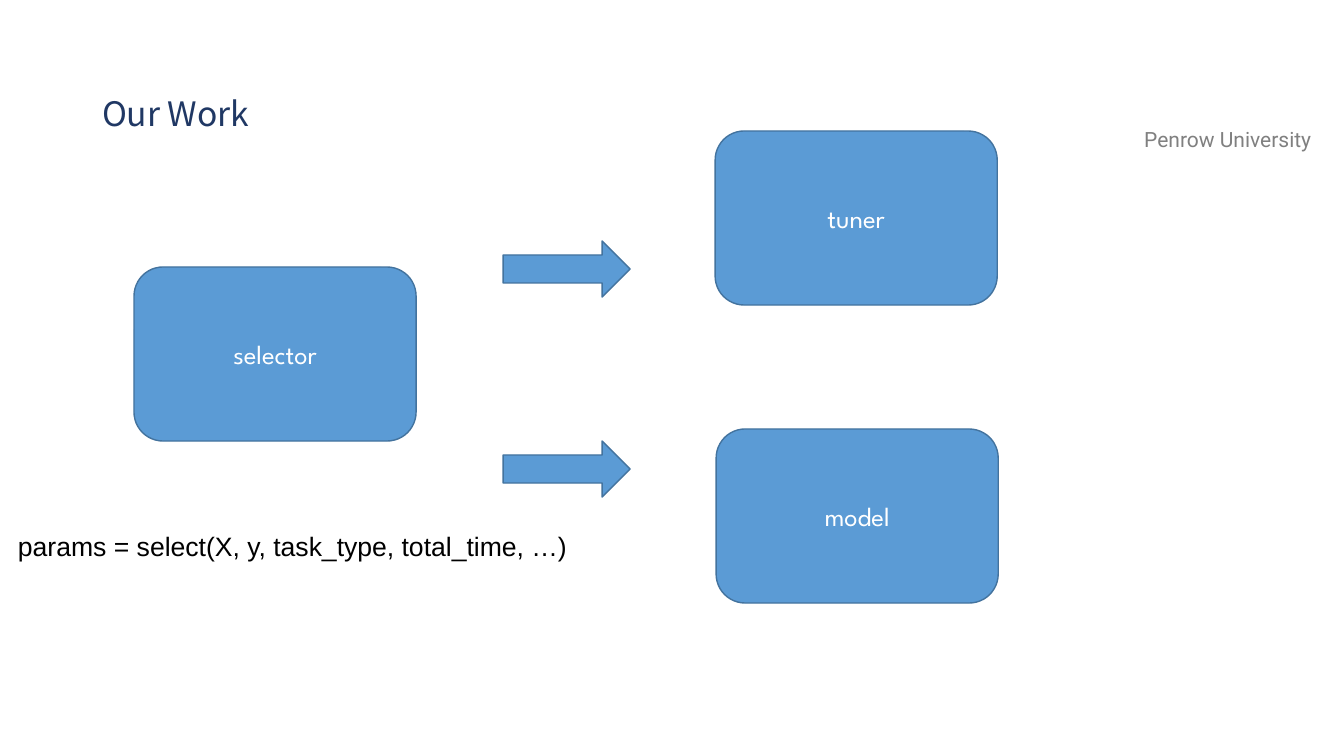
from pptx import Presentation
from pptx import util as u
from pptx.dml.color import RGBColor
from pptx.enum import shapes, text

BLUE, EDGE, NAVY = "5B9BD5", "43739E", "203864"
GREY, WHITE, BLACK = "808080", "FFFFFF", "000000"
SCALE = u.Inches(1) / 100.8
TITLE_ONLY = 5


def px(*lengths):
    return [u.Emu(round(length * SCALE)) for length in lengths]


def color(value):
    return RGBColor.from_string(value)


def apply(target, **values):
    for name, value in values.items():
        setattr(target, name, value)


def write(shape, words, font, size, ink, align="LEFT", anchor="TOP", wrap=True):
    left, top = px(10, 5)
    frame = shape.text_frame
    apply(frame, word_wrap=wrap, auto_size=text.MSO_AUTO_SIZE.NONE,
          vertical_anchor=text.MSO_ANCHOR[anchor],
          margin_left=left, margin_right=left,
          margin_top=top, margin_bottom=top)
    para = frame.paragraphs[0]
    para.alignment = text.PP_ALIGN[align]
    span = para.add_run()
    span.text = words
    apply(span.font, name=font, size=u.Pt(size), bold=False)
    span.font.color.rgb = color(ink)


def add_title(page, words, area):
    title = page.shapes.title
    apply(title, **dict(zip(("left", "top", "width", "height"), px(*area))))
    write(title, words, "Noto Sans CJK SC", 24, NAVY, wrap=False)


def add_label(page, words, area, **style):
    write(page.shapes.add_textbox(*px(*area)), words, **style)


def add_block(page, kind, area):
    shape = page.shapes.add_shape(shapes.MSO_SHAPE[kind], *px(*area))
    shape.shadow.inherit = False
    shape.fill.solid()
    shape.fill.fore_color.rgb = color(BLUE)
    shape.line.color.rgb = color(EDGE)
    shape.line.width = u.Pt(1)
    return shape


def add_component(page, words, left, top):
    box = add_block(page, "ROUNDED_RECTANGLE", (left, top, 282, 174))
    write(box, words, "League Spartan", 19, WHITE, "CENTER", "MIDDLE")


def main():
    deck = Presentation()
    deck.slide_width, deck.slide_height = u.Inches(13.33), u.Inches(7.5)
    page = deck.slides.add_slide(deck.slide_layouts[TITLE_ONLY])

    add_title(page, "Our Work", (92, 88, 178, 50))
    add_label(page, "Penrow University", (1133, 122, 188, 36),
              font="Roboto", size=15, ink=GREY, align="RIGHT")
    for words, left, top in (("selector", 134, 267),
                             ("tuner", 715, 131),
                             ("model", 716, 429)):
        add_component(page, words, left, top)
    for top in (241, 441):
        add_block(page, "RIGHT_ARROW", (503, top, 127, 56))
    add_label(page, "params = select(X, y, task_type, total_time, …)",
              (8, 525, 691, 42), font="Arial", size=19, ink=BLACK)

    deck.save("out.pptx")


main()
